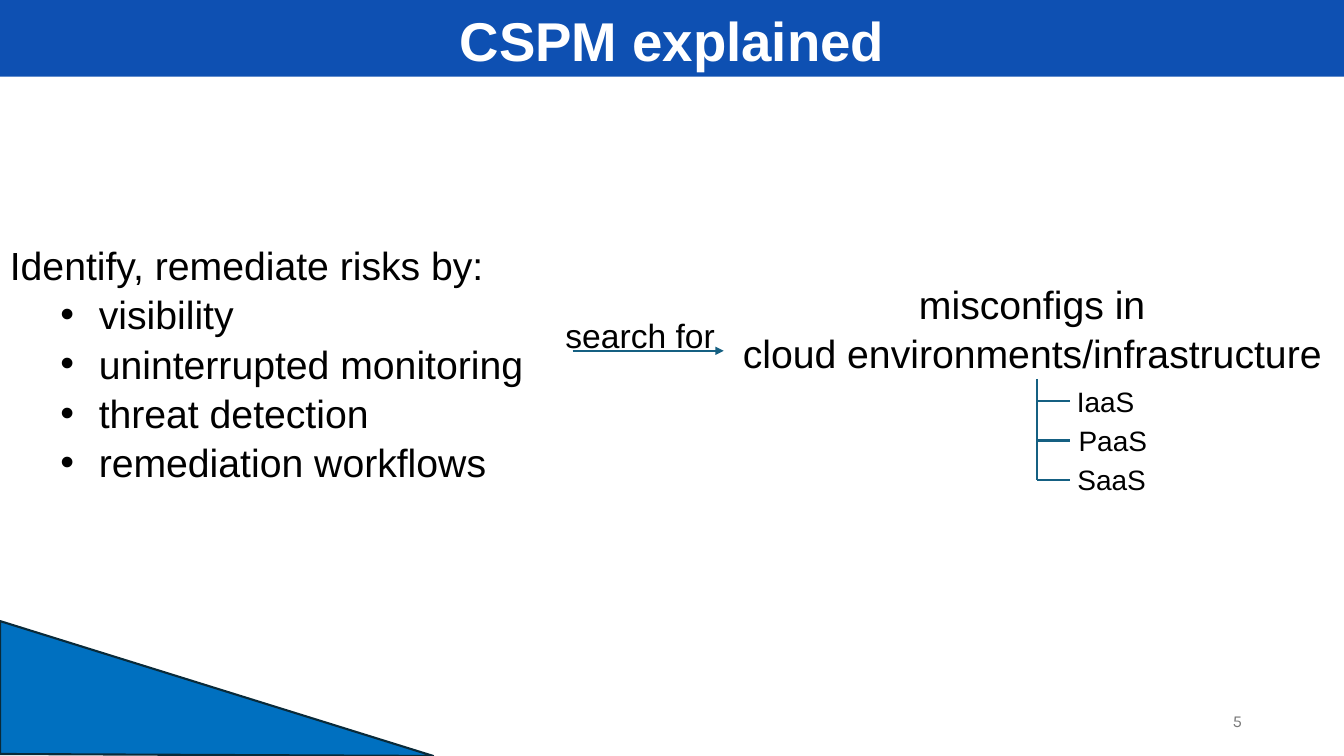
from dataclasses import dataclass

from lxml import etree
from pptx import Presentation
from pptx.dml.color import RGBColor
from pptx.enum.shapes import MSO_CONNECTOR
from pptx.enum.text import MSO_ANCHOR, MSO_AUTO_SIZE, PP_ALIGN
from pptx.oxml.ns import qn
from pptx.util import Cm, Pt

STRAIGHT = MSO_CONNECTOR.STRAIGHT
LEFT, CENTER, RIGHT = PP_ALIGN.LEFT, PP_ALIGN.CENTER, PP_ALIGN.RIGHT
TOP, MIDDLE = MSO_ANCHOR.TOP, MSO_ANCHOR.MIDDLE
NO_AUTOSIZE = MSO_AUTO_SIZE.NONE
TITLE_ONLY = 5


@dataclass(frozen=True)
class Theme:
    font: str = "Arial"
    number_font: str = "Karla"
    title_fill: RGBColor = RGBColor(0x0E, 0x50, 0xB2)
    title_text: RGBColor = RGBColor(0xFF, 0xFF, 0xFF)
    text: RGBColor = RGBColor(0x00, 0x00, 0x00)
    number: RGBColor = RGBColor(0x79, 0x79, 0x79)
    line: RGBColor = RGBColor(0x15, 0x60, 0x82)
    corner_fill: RGBColor = RGBColor(0x00, 0x70, 0xC0)
    corner_line: RGBColor = RGBColor(0x09, 0x2A, 0x39)
    title_size: Pt = Pt(39)
    body_size: Pt = Pt(28)
    arrow_size: Pt = Pt(24)
    branch_size: Pt = Pt(20)
    number_size: Pt = Pt(12)
    line_width: Pt = Pt(1.5)
    line_spacing: float = 1.05


THEME = Theme()


def add_run(paragraph, text, size, color=THEME.text, font=THEME.font, bold=False):
    run = paragraph.add_run()
    run.text = text
    run.font.name = font
    run.font.size = size
    run.font.bold = bold
    run.font.color.rgb = color


def add_title(slide, text, width, height):
    title = slide.shapes.title
    title.left, title.top, title.width, title.height = 0, 0, width, height
    title.fill.solid()
    title.fill.fore_color.rgb = THEME.title_fill
    frame = title.text_frame
    frame.auto_size = NO_AUTOSIZE
    frame.vertical_anchor = MIDDLE
    paragraph = frame.paragraphs[0]
    paragraph.alignment = CENTER
    paragraph.line_spacing = THEME.line_spacing
    add_run(paragraph, text, THEME.title_size, THEME.title_text, bold=True)


def add_bullet(paragraph):
    paragraph.level = 1
    properties = paragraph._p.get_or_add_pPr()
    properties.set("marL", str(Cm(2.24)))
    properties.set("indent", str(-Cm(0.97)))
    etree.SubElement(properties, qn("a:buFont")).set("typeface", THEME.font)
    etree.SubElement(properties, qn("a:buChar")).set("char", "•")


def add_text(slide, box, lines, size, alignment=LEFT, bullets_from=None,
             wrap=True, anchor=TOP, **run_format):
    """Add a text box; lines from index bullets_from onwards get bullets."""
    frame = slide.shapes.add_textbox(*map(Cm, box)).text_frame
    frame.word_wrap = wrap
    frame.vertical_anchor = anchor
    for index, line in enumerate(lines):
        paragraph = frame.paragraphs[0] if index == 0 else frame.add_paragraph()
        paragraph.alignment = alignment
        paragraph.line_spacing = THEME.line_spacing
        if bullets_from is not None and index >= bullets_from:
            add_bullet(paragraph)
        add_run(paragraph, line, size, **run_format)


def add_line(slide, start, end, arrow=False):
    connector = slide.shapes.add_connector(STRAIGHT, *map(Cm, start + end))
    connector.line.color.rgb = THEME.line
    connector.line.width = THEME.line_width
    if arrow:
        line = connector.line._get_or_add_ln()
        etree.SubElement(line, qn("a:tailEnd")).set("type", "triangle")
    etree.SubElement(connector._element.spPr, qn("a:effectLst"))


def add_branches(slide, trunk_x, trunk_top, first_y, step, branches):
    """Draw a trunk with one evenly spaced, labelled branch per service model."""
    last_y = first_y + step * (len(branches) - 1)
    add_line(slide, (trunk_x, trunk_top), (trunk_x, last_y))
    for index, (label, label_left) in enumerate(branches):
        y = first_y + step * index
        add_line(slide, (trunk_x, y), (trunk_x + 0.82, y))
        add_text(slide, (label_left, y - 0.6, 2.95, 1.12), [label],
                 THEME.branch_size, CENTER)


def add_corner(slide, points):
    start, *others = [(Cm(x), Cm(y)) for x, y in points]
    builder = slide.shapes.build_freeform(*start)
    builder.add_line_segments(others, close=True)
    corner = builder.convert_to_shape()
    corner.shadow.inherit = False
    corner.fill.solid()
    corner.fill.fore_color.rgb = THEME.corner_fill
    corner.line.color.rgb = THEME.corner_line
    corner.line.width = THEME.line_width


def main():
    presentation = Presentation()
    presentation.slide_width = Cm(33.87)
    presentation.slide_height = Cm(19.05)
    slide = presentation.slides.add_slide(presentation.slide_layouts[TITLE_ONLY])

    add_title(slide, "CSPM explained", presentation.slide_width, Cm(1.93))

    # Goals on the left, targets on the right
    goals = ["Identify, remediate risks by:", "visibility", "uninterrupted monitoring",
             "threat detection", "remediation workflows"]
    add_text(slide, (0, 5.89, 13.97, 7.26), goals, THEME.body_size, bullets_from=1)
    add_text(slide, (18.16, 6.88, 15.7, 2.64),
             ["misconfigs in", "cloud environments/infrastructure"],
             THEME.body_size, CENTER)

    # Arrow between them
    add_text(slide, (14, 7.77, 4.32, 1.27), ["search for"], THEME.arrow_size, wrap=False)
    add_line(slide, (14.43, 8.84), (18.24, 8.84), arrow=True)

    # Service models
    add_branches(slide, 26.14, 9.55, 10.11, 0.99,
                 [("IaaS", 26.39), ("PaaS", 26.57), ("SaaS", 26.54)])

    # Corner decoration and page number
    add_corner(slide, [(0, 19), (0, 15.65), (10.92, 19.05)])
    add_text(slide, (23.93, 17.65, 7.62, 1.02), ["5"], THEME.number_size, RIGHT,
             anchor=MIDDLE, color=THEME.number, font=THEME.number_font)

    presentation.save("out.pptx")


if __name__ == "__main__":
    main()
